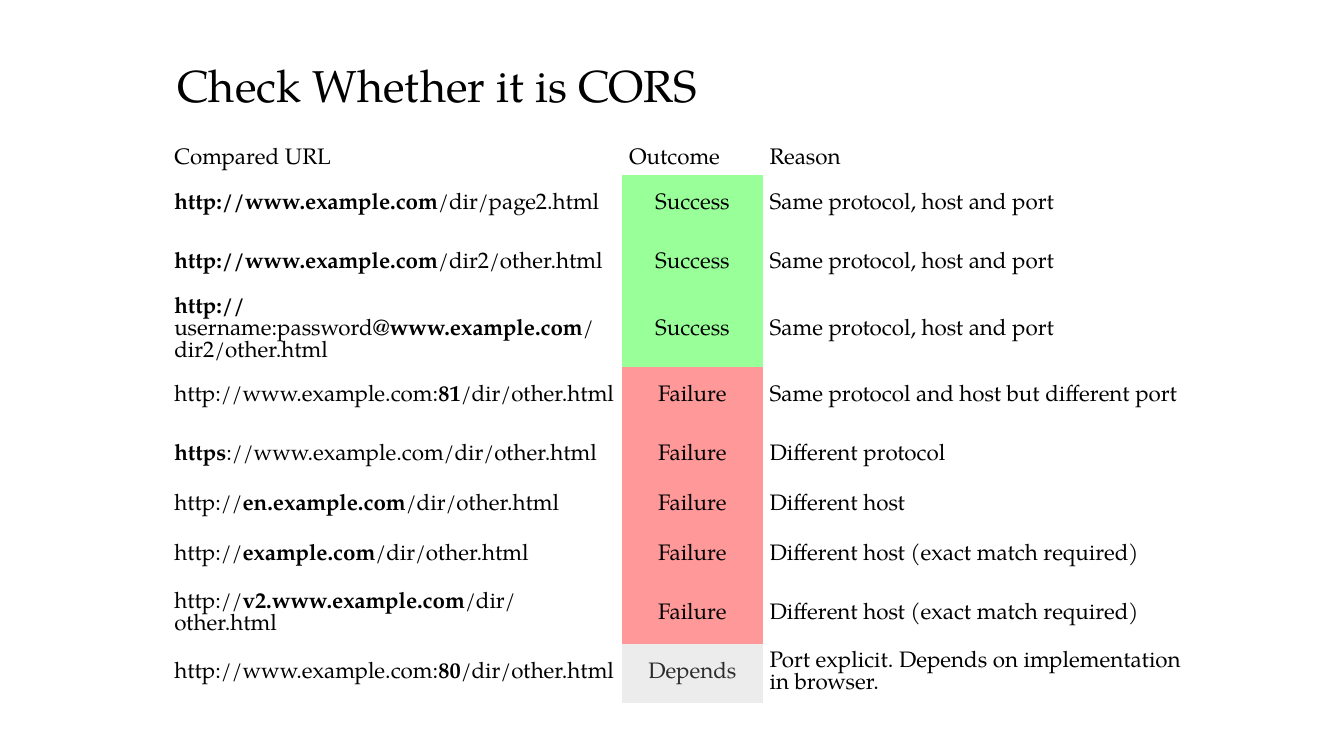
import pptx
import pptx.util
import pptx.dml.color
import pptx.enum.text

Pt = pptx.util.Pt
RGB = pptx.dml.color.RGBColor
ALIGN = pptx.enum.text.PP_ALIGN
ANCHOR = pptx.enum.text.MSO_ANCHOR

# Content: ** switches bold on and off
TITLE = "Check Whether it is CORS"
HEADER = ("Compared URL", "Outcome", "Reason")
SAME = "Same protocol, host and port"
EXACT = "Different host (exact match required)"
CHECKS = [
    ("**http://www.example.com**/dir/page2.html", "Success", SAME),
    ("**http://www.example.com**/dir2/other.html", "Success", SAME),
    ("**http://**username:password@**www.example.com**/dir2/other.html", "Success", SAME),
    ("http://www.example.com:**81**/dir/other.html", "Failure",
     "Same protocol and host but different port"),
    ("**https**://www.example.com/dir/other.html", "Failure", "Different protocol"),
    ("http://**en.example.com**/dir/other.html", "Failure", "Different host"),
    ("http://**example.com**/dir/other.html", "Failure", EXACT),
    ("http://**v2.www.example.com**/dir/other.html", "Failure", EXACT),
    ("http://www.example.com:**80**/dir/other.html", "Depends",
     "Port explicit. Depends on implementation in browser."),
]

# Style
FONT = "TeX Gyre Pagella"
BLACK = RGB(0x00, 0x00, 0x00)
GREY = RGB(0x2C, 0x2C, 0x2C)
OUTCOME_FILL = {
    "Success": RGB(0x99, 0xFF, 0x99),
    "Failure": RGB(0xFF, 0x99, 0x99),
    "Depends": RGB(0xEC, 0xEC, 0xEC),
}
NO_STYLE_NO_GRID = "{2D5ABB26-0587-4C30-8999-92F81FD0307C}"

# Layout in points
LEFT, TABLE_TOP = 119.5, 102.2
COL_WIDTHS = (324.9, 100.4, 306.9)
HEADER_HEIGHT, ROW_HEIGHT, SHORT_ROW_HEIGHT = 23, 42.2, 29
SHORT_ROW = 6
ROW_HEIGHTS = [HEADER_HEIGHT] + [
    SHORT_ROW_HEIGHT if i == SHORT_ROW else ROW_HEIGHT
    for i in range(1, len(CHECKS) + 1)]


def write(tf, text, size=16, color=BLACK, align=ALIGN.LEFT, spacing=Pt(16)):
    p = tf.paragraphs[0]
    p.alignment = align
    p.line_spacing = spacing
    for i, part in enumerate(text.split("**")):
        if part:
            r = p.add_run()
            r.text = part
            r.font.name = FONT
            r.font.size = Pt(size)
            r.font.bold = i % 2 == 1
            r.font.color.rgb = color


def main():
    prs = pptx.Presentation()
    prs.slide_width, prs.slide_height = Pt(960), Pt(540)
    s = prs.slides.add_slide(prs.slide_layouts[6])

    # Title
    tf = s.shapes.add_textbox(Pt(LEFT), Pt(41.8), Pt(756), Pt(41.8)).text_frame
    tf.word_wrap = True
    tf.vertical_anchor = ANCHOR.BOTTOM
    write(tf, TITLE, size=32, spacing=0.9)

    # Table without style or grid
    rows = [HEADER] + CHECKS
    table = s.shapes.add_table(
        len(rows), len(COL_WIDTHS), Pt(LEFT), Pt(TABLE_TOP),
        Pt(sum(COL_WIDTHS)), Pt(sum(ROW_HEIGHTS))).table
    table.first_row = table.horz_banding = False
    table._tbl.tblPr[0].text = NO_STYLE_NO_GRID
    for column, width in zip(table.columns, COL_WIDTHS):
        column.width = Pt(width)
    for row, height in zip(table.rows, ROW_HEIGHTS):
        row.height = Pt(height)

    # Cells
    for i, texts in enumerate(rows):
        for j, text in enumerate(texts):
            cell = table.cell(i, j)
            cell.margin_left = cell.margin_right = Pt(5)
            cell.margin_top = cell.margin_bottom = Pt(2.4)
            cell.vertical_anchor = ANCHOR.MIDDLE
            if text in OUTCOME_FILL:
                cell.fill.solid()
                cell.fill.fore_color.rgb = OUTCOME_FILL[text]
                write(cell.text_frame, text, align=ALIGN.CENTER,
                      color=GREY if text == "Depends" else BLACK)
            else:
                cell.fill.background()
                write(cell.text_frame, text)

    prs.save("out.pptx")


if __name__ == "__main__":
    main()
